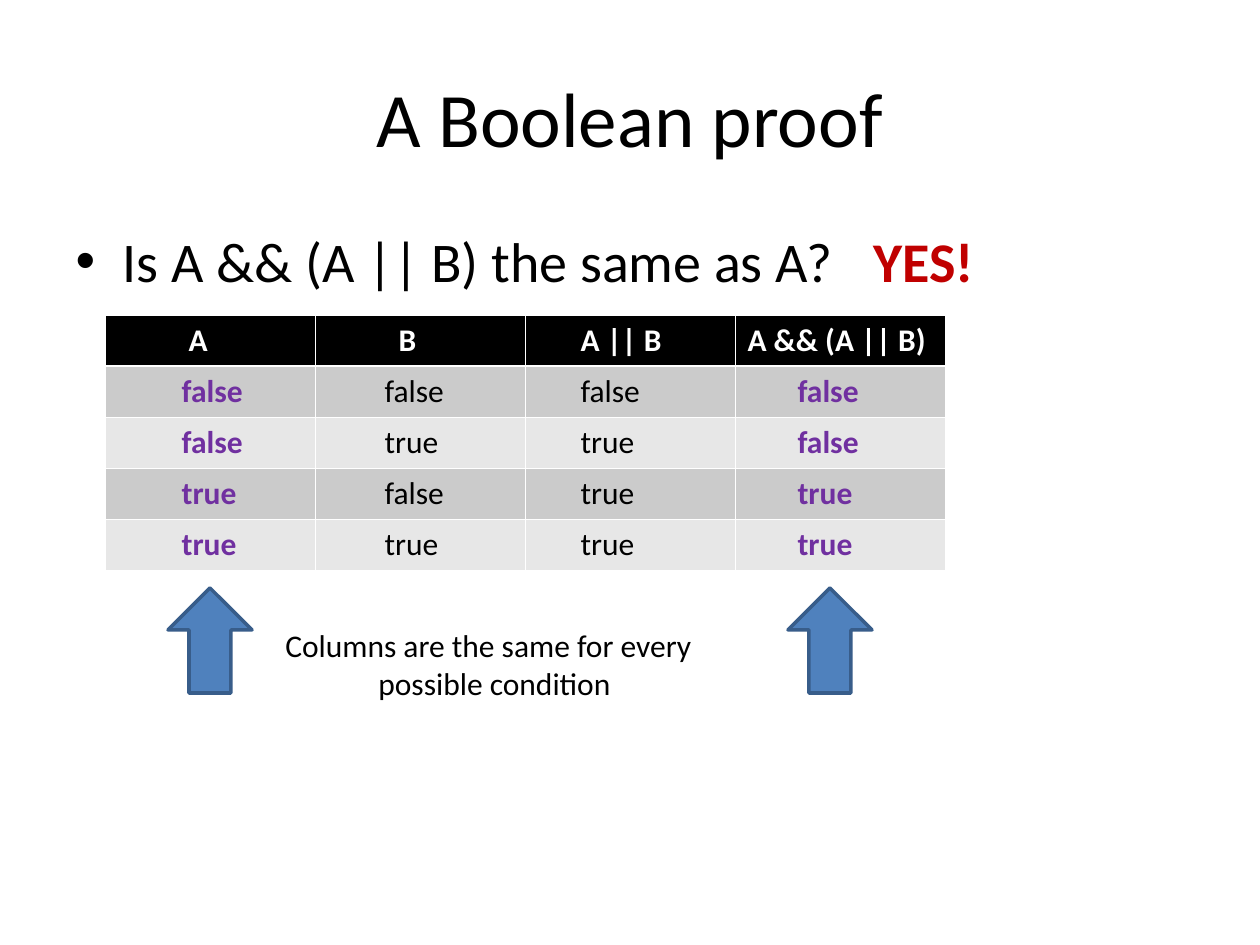
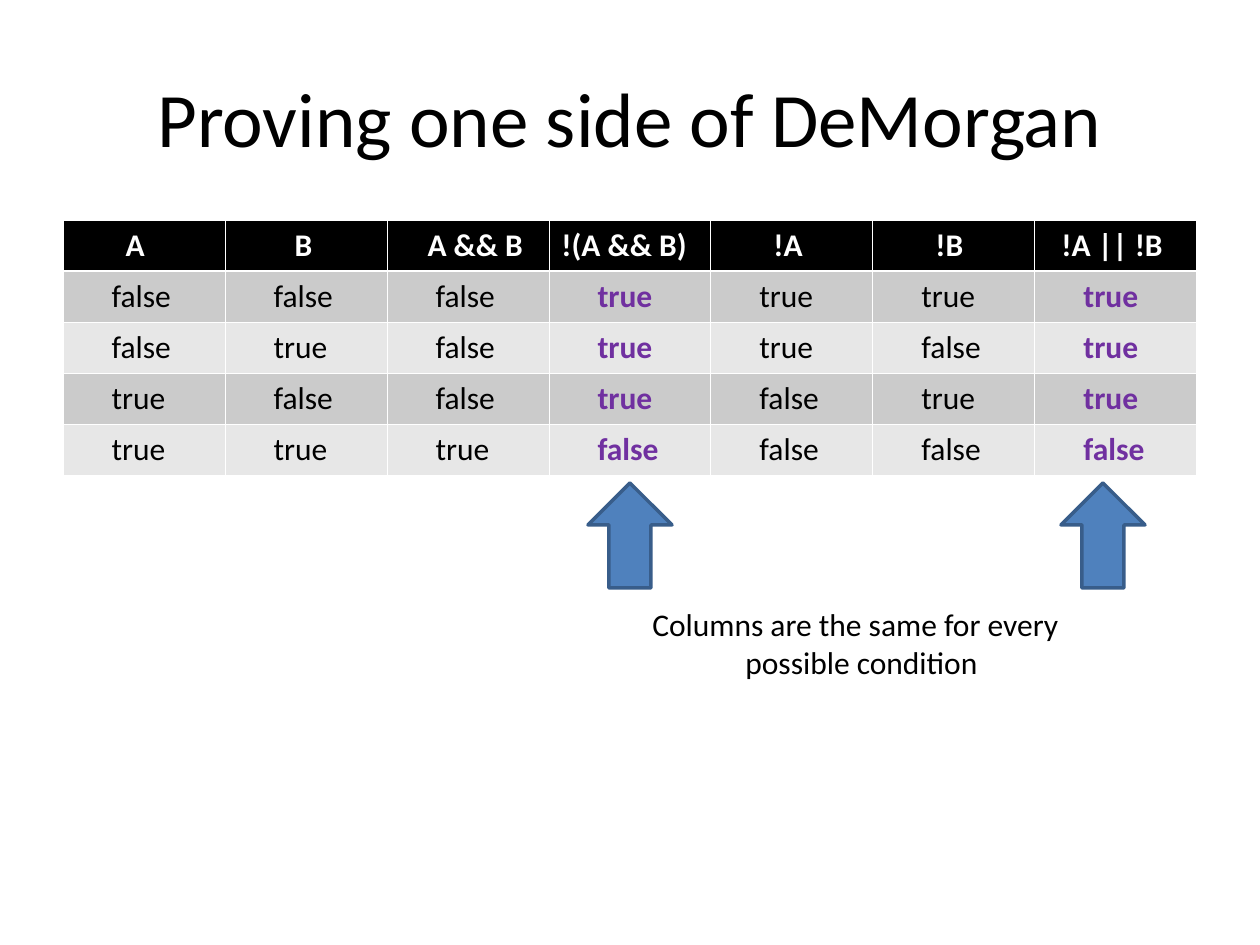
import pptx
import pptx.util
import pptx.dml.color
import pptx.enum.shapes
import pptx.enum.text
import pptx.oxml
import pptx.oxml.ns

PX = 914400 // 126  # EMU in one px

BLACK = pptx.dml.color.RGBColor(0x00, 0x00, 0x00)
WHITE = pptx.dml.color.RGBColor(0xFF, 0xFF, 0xFF)
PURPLE = pptx.dml.color.RGBColor(0x70, 0x30, 0xA0)
RED = pptx.dml.color.RGBColor(0xC0, 0x00, 0x00)
ARROW_BLUE = pptx.dml.color.RGBColor(0x4F, 0x81, 0xBD)
ARROW_EDGE = pptx.dml.color.RGBColor(0x38, 0x5D, 0x8A)
BANDS = (pptx.dml.color.RGBColor(0xE7, 0xE7, 0xE7),
         pptx.dml.color.RGBColor(0xCB, 0xCB, 0xCB))

TITLE_AND_CONTENT, TITLE_ONLY = 1, 5


def px(*lengths):
    return [pptx.util.Emu(length * PX) for length in lengths]


def place(shape, *box):
    shape.left, shape.top, shape.width, shape.height = px(*box)


def indent(paragraph, left, first=0):
    properties = paragraph._p.get_or_add_pPr()
    properties.set("marL", str(left * PX))
    properties.set("indent", str(first * PX))
    return properties


def add_xml(parent, tag, **attributes):
    child = pptx.oxml.parse_xml(f"<a:{tag} {pptx.oxml.ns.nsdecls('a')}/>")
    for name, value in attributes.items():
        child.set(name, str(value))
    parent.append(child)
    return child


class Deck:
    """Holds the shared style and the slide being filled."""

    font = "Calibri"
    title_size, list_size, text_size = 44, 32, 18

    def __init__(self):
        self.presentation = pptx.Presentation()
        (self.presentation.slide_width,
         self.presentation.slide_height) = px(1260, 945)
        self.slide = None

    def style(self, paragraph, size, color=BLACK, bold=False):
        font = paragraph.font
        font.name, font.size, font.bold = self.font, pptx.util.Pt(size), bold
        font.color.rgb = color

    def new_slide(self, title, layout):
        self.slide = self.presentation.slides.add_slide(
            self.presentation.slide_layouts[layout])
        heading = self.slide.shapes.title
        place(heading, 63, 38, 1134, 157)
        heading.text_frame.text = title
        heading.text_frame.vertical_anchor = pptx.enum.text.MSO_ANCHOR.MIDDLE
        paragraph = heading.text_frame.paragraphs[0]
        paragraph.alignment = pptx.enum.text.PP_ALIGN.CENTER
        self.style(paragraph, self.title_size)

    def question(self, text, answer, answer_tab):
        body = self.slide.placeholders[1]
        place(body, 63, 220, 1134, 624)
        paragraph = body.text_frame.paragraphs[0]
        paragraph.space_before = pptx.util.Pt(8)
        properties = indent(paragraph, 47, -47)
        add_xml(properties, "buChar", char="•")
        stops = add_xml(properties, "tabLst")
        add_xml(stops, "tab", pos=answer_tab * PX, algn="l")
        self.style(paragraph, self.list_size)
        paragraph.add_run().text = text + "\t"
        verdict = paragraph.add_run()
        verdict.text = answer
        verdict.font.bold = True
        verdict.font.color.rgb = RED

    def truth_table(self, box, rows, header_indents, value_indents, proven):
        table = self.slide.shapes.add_table(
            len(rows), len(rows[0]), *px(*box)).table
        for column in table.columns:
            column.width = pptx.util.Emu(box[2] * PX // len(rows[0]))
        for r, row in enumerate(rows):
            for c, value in enumerate(row):
                cell = table.cell(r, c)
                cell.text = value
                cell.fill.solid()
                cell.fill.fore_color.rgb = BANDS[r % 2] if r else BLACK
                paragraph = cell.text_frame.paragraphs[0]
                indent(paragraph, (value_indents if r else header_indents)[c])
                value_color = PURPLE if c in proven else BLACK
                self.style(paragraph, self.text_size,
                           value_color if r else WHITE, r == 0 or c in proven)
                self.borders(cell, r)

    def borders(self, cell, row):
        """White grid with a heavier rule below the header."""
        properties = cell._tc.get_or_add_tcPr()
        heavy = {0: "lnB", 1: "lnT"}.get(row)
        for position, side in enumerate(("lnL", "lnR", "lnT", "lnB")):
            width = pptx.util.Pt(1.5 if side == heavy else 0.5)
            line = add_xml(properties, side, w=int(width))
            fill = add_xml(line, "solidFill")
            add_xml(fill, "srgbClr", val=WHITE)
            properties.insert(position, line)

    def up_arrows(self, top, *lefts):
        for left in lefts:
            arrow = self.slide.shapes.add_shape(
                pptx.enum.shapes.MSO_SHAPE.UP_ARROW, *px(left, top, 84, 105))
            arrow.shadow.inherit = False
            arrow.fill.solid()
            arrow.fill.fore_color.rgb = ARROW_BLUE
            arrow.line.color.rgb = ARROW_EDGE
            arrow.line.width = pptx.util.Pt(2)

    def conclusion(self, left, top):
        frame = self.slide.shapes.add_textbox(
            *px(left, top, 504, 88)).text_frame
        frame.word_wrap = True
        frame.text = "Columns are the same for every\npossible condition"
        for paragraph in frame.paragraphs:
            self.style(paragraph, self.text_size)
        indent(frame.paragraphs[1], 93)


def main():
    deck = Deck()

    # Absorption: A && (A || B) equals A
    deck.new_slide("A Boolean proof", TITLE_AND_CONTENT)
    deck.question("Is A && (A || B) the same as A?", "YES!", answer_tab=798)
    deck.truth_table(
        (105, 315, 840, 255),
        [("A", "B", "A || B", "A && (A || B)"),
         ("false", "false", "false", "false"),
         ("false", "true", "true", "false"),
         ("true", "false", "true", "true"),
         ("true", "true", "true", "true")],
        header_indents=(71, 71, 43, 0),
        value_indents=(64, 57, 43, 50),
        proven=(0, 3))
    deck.up_arrows(588, 168, 788)
    deck.conclusion(273, 620)

    # DeMorgan: !(A && B) equals !A || !B
    deck.new_slide("Proving one side of DeMorgan", TITLE_ONLY)
    deck.truth_table(
        (63, 220, 1134, 255),
        [("A", "B", "A && B", "!(A && B)", "!A", "!B", "!A || !B"),
         ("false", "false", "false", "true", "true", "true", "true"),
         ("false", "true", "false", "true", "true", "false", "true"),
         ("true", "false", "false", "true", "false", "true", "true"),
         ("true", "true", "true", "false", "false", "false", "false")],
        header_indents=(50, 57, 28, 0, 50, 50, 14),
        value_indents=(36,) * 7,
        proven=(3, 6))
    deck.up_arrows(483, 588, 1061)
    deck.conclusion(640, 599)

    deck.presentation.save("out.pptx")


if __name__ == "__main__":
    main()
